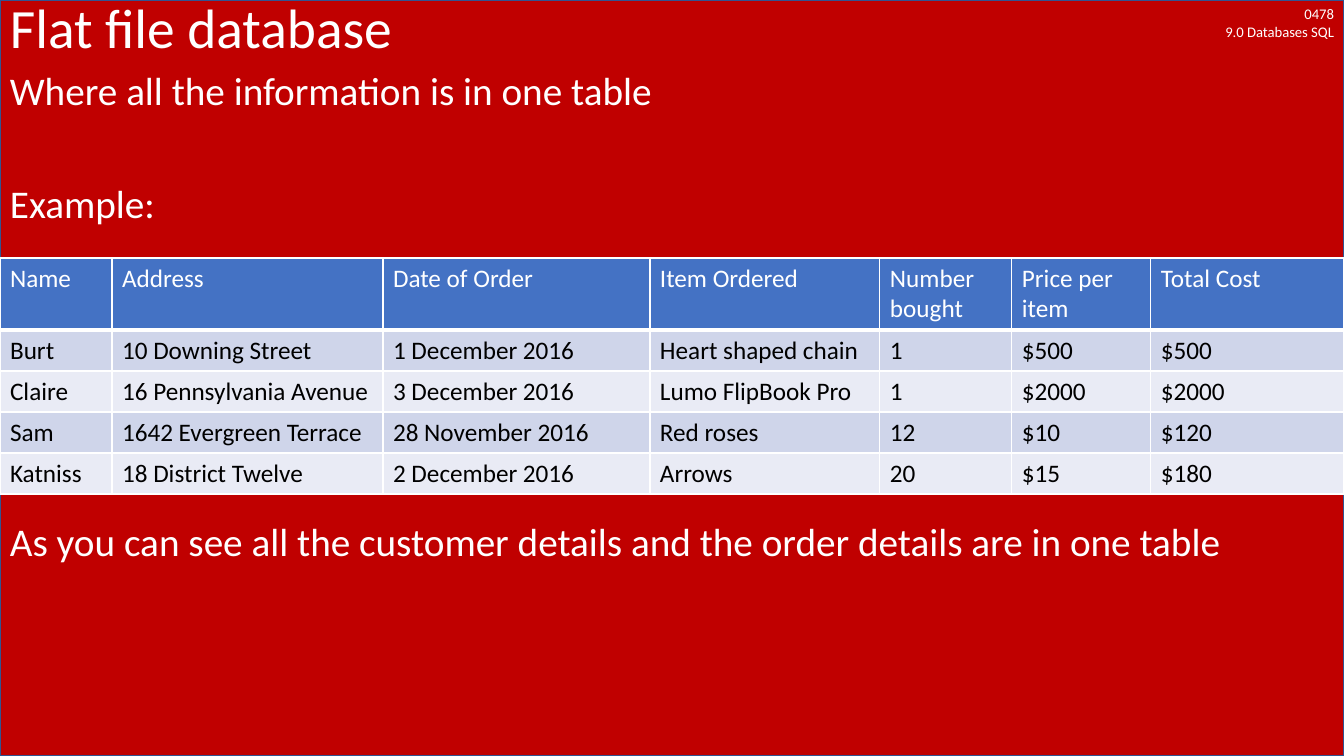
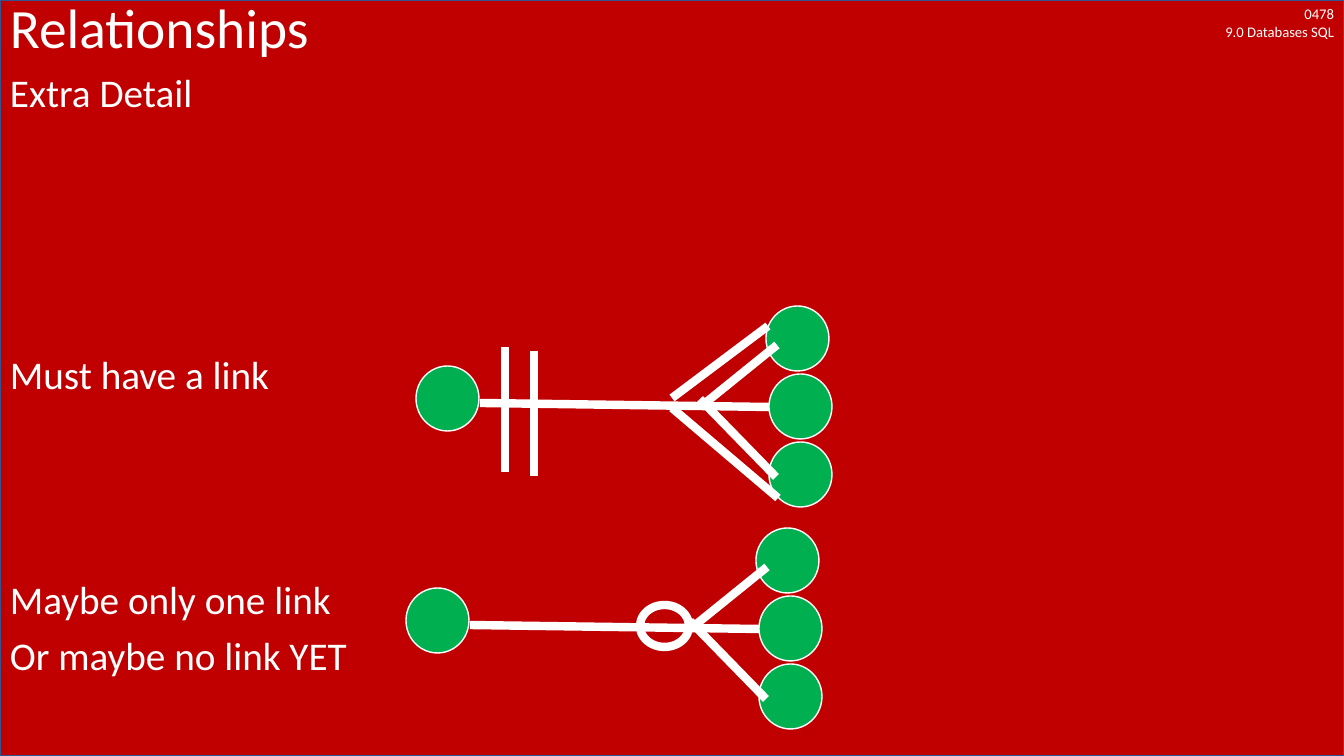
"""Build two database lesson slides: a flat file table and a relationship diagram."""
from lxml.etree import SubElement
from pptx import Presentation
from pptx.dml.color import RGBColor
from pptx.enum.shapes import MSO_CONNECTOR, MSO_SHAPE
from pptx.enum.text import MSO_ANCHOR, PP_ALIGN
from pptx.oxml.ns import qn
from pptx.util import Pt

WIDTH, HEIGHT = 1344, 756
EMU_PER_PX = 914400 / 100.8
FONT = "Calibri"
RED, NAVY, WHITE, BLACK = "C00000", "325491", "FFFFFF", "000000"
GREEN, HEADER_BLUE = "00B050", "4472C4"
BANDS = ["CFD5EA", "E9EBF5"]
COURSE = ["0478", "9.0 Databases SQL"]
PARAGRAPH_GAP, SKIPPED_LINE = 10, 40.2

FLAT_FILE_TEXT = [
    ("Where all the information is in one table", 0),
    ("Example:", 1),
    ("As you can see all the customer details and the order details are in one table", 5),
]
ORDERS = [
    ("Name", "Address", "Date of Order", "Item Ordered", "Number bought", "Price per item", "Total Cost"),
    ("Burt", "10 Downing Street", "1 December 2016", "Heart shaped chain", "1", "$500", "$500"),
    ("Claire", "16 Pennsylvania Avenue", "3 December 2016", "Lumo FlipBook Pro", "1", "$2000", "$2000"),
    ("Sam", "1642 Evergreen Terrace", "28 November 2016", "Red roses", "12", "$10", "$120"),
    ("Katniss", "18 District Twelve", "2 December 2016", "Arrows", "20", "$15", "$180"),
]
COLUMN_WIDTHS = [112, 271, 267, 230, 132, 139, 193]
TABLE_TOP, HEADER_HEIGHT, ROW_HEIGHT = 258, 72, 41

RELATIONSHIP_TEXT = [
    ("Extra Detail", 0),
    ("Must have a link", 4),
    ("Maybe only one link", 3),
    ("Or maybe no link YET", 0),
]
RECORD_SIZE = (63, 65)
RECORDS = [(416, 366), (766, 306), (769, 374), (769, 442)]
LINKS = [(704, 404, 777, 345), (480, 403, 769, 407), (700, 399, 776, 477)]
MUST_LINKS = [
    (672, 398, 768, 326),
    (672, 408, 778, 498),
    (505, 347, 505, 472),
    (534, 351, 534, 476),
]
MAYBE_OFFSET = (-10, 222)
ZERO_RING = (640, 605, 49, 42)


def px(*lengths):
    return [round(length * EMU_PER_PX) for length in lengths]


def color(value):
    return RGBColor.from_string(value)


def format_text(para, text, size, ink=WHITE, align=PP_ALIGN.LEFT, spacing=1.0, before=0):
    para.alignment, para.line_spacing = align, spacing
    para.space_before = Pt(before)
    span = para.add_run()
    span.text = text
    span.font.name, span.font.size, span.font.bold = FONT, Pt(size), False
    span.font.color.rgb = color(ink)


def add_text(page, place, lines, size, anchor=MSO_ANCHOR.TOP, **style):
    frame = page.shapes.add_textbox(*px(*place)).text_frame
    frame.word_wrap, frame.vertical_anchor = True, anchor
    for index, (text, before) in enumerate(lines):
        para = frame.add_paragraph() if index else frame.paragraphs[0]
        format_text(para, text, size, before=before, **style)


def add_shape(page, kind, place, fill=None, line=WHITE, weight=1):
    shape = page.shapes.add_shape(kind, *px(*place))
    shape.shadow.inherit = False
    if fill:
        shape.fill.solid()
        shape.fill.fore_color.rgb = color(fill)
    else:
        shape.fill.background()
    shape.line.color.rgb, shape.line.width = color(line), Pt(weight)


def add_link(page, ends):
    link = page.shapes.add_connector(MSO_CONNECTOR.STRAIGHT, *px(*ends))
    link.line.color.rgb, link.line.width = color(WHITE), Pt(6)
    SubElement(link._element.spPr, qn("a:effectLst"))


def add_page(deck, title, body_top, body):
    page = deck.slides.add_slide(deck.slide_layouts[6])
    add_shape(page, MSO_SHAPE.RECTANGLE, (0, 0, WIDTH, HEIGHT), RED, NAVY)
    add_text(page, (1094, 0, 250, 45), [(line, 0) for line in COURSE], 10.5, align=PP_ALIGN.RIGHT)
    add_text(page, (0, 0, WIDTH, 61), [(title, 0)], 39.6, MSO_ANCHOR.MIDDLE, spacing=0.9)
    lines = [(text, PARAGRAPH_GAP + skipped * SKIPPED_LINE) for text, skipped in body]
    add_text(page, (0, body_top, WIDTH, HEIGHT - body_top), lines, 28, spacing=0.9)
    return page


def format_cell(cell, text, fill, ink, bottom):
    properties = cell._tc.get_or_add_tcPr()
    for side, weight in (("lnL", 1), ("lnR", 1), ("lnT", 1), ("lnB", bottom)):
        border = SubElement(properties, qn(f"a:{side}"), w=str(Pt(weight)))
        SubElement(SubElement(border, qn("a:solidFill")), qn("a:srgbClr"), val=WHITE)
    cell.fill.solid()
    cell.fill.fore_color.rgb = color(fill)
    format_text(cell.text_frame.paragraphs[0], text, 18, ink)


def add_orders(page):
    heights = [HEADER_HEIGHT] + [ROW_HEIGHT] * (len(ORDERS) - 1)
    place = px(0, TABLE_TOP, WIDTH, sum(heights))
    table = page.shapes.add_table(len(ORDERS), len(COLUMN_WIDTHS), *place).table
    table.horz_banding = False
    for column, width in zip(table.columns, px(*COLUMN_WIDTHS)):
        column.width = width
    for index, (row, height) in enumerate(zip(table.rows, px(*heights))):
        row.height = height
        style = (BANDS[(index - 1) % 2], BLACK, 1) if index else (HEADER_BLUE, WHITE, 3)
        for cell, text in zip(row.cells, ORDERS[index]):
            format_cell(cell, text, *style)


def add_relationship(page, links, offset=(0, 0)):
    dx, dy = offset
    for left, top in RECORDS:
        add_shape(page, MSO_SHAPE.OVAL, (left + dx, top + dy, *RECORD_SIZE), GREEN)
    for x1, y1, x2, y2 in links:
        add_link(page, (x1 + dx, y1 + dy, x2 + dx, y2 + dy))


def main():
    deck = Presentation()
    deck.slide_width, deck.slide_height = px(WIDTH, HEIGHT)
    add_orders(add_page(deck, "Flat file database", 67, FLAT_FILE_TEXT))
    page = add_page(deck, "Relationships", 69, RELATIONSHIP_TEXT)
    add_relationship(page, LINKS + MUST_LINKS)
    add_relationship(page, LINKS, MAYBE_OFFSET)
    add_shape(page, MSO_SHAPE.OVAL, ZERO_RING, weight=6)
    deck.save("out.pptx")


if __name__ == "__main__":
    main()
